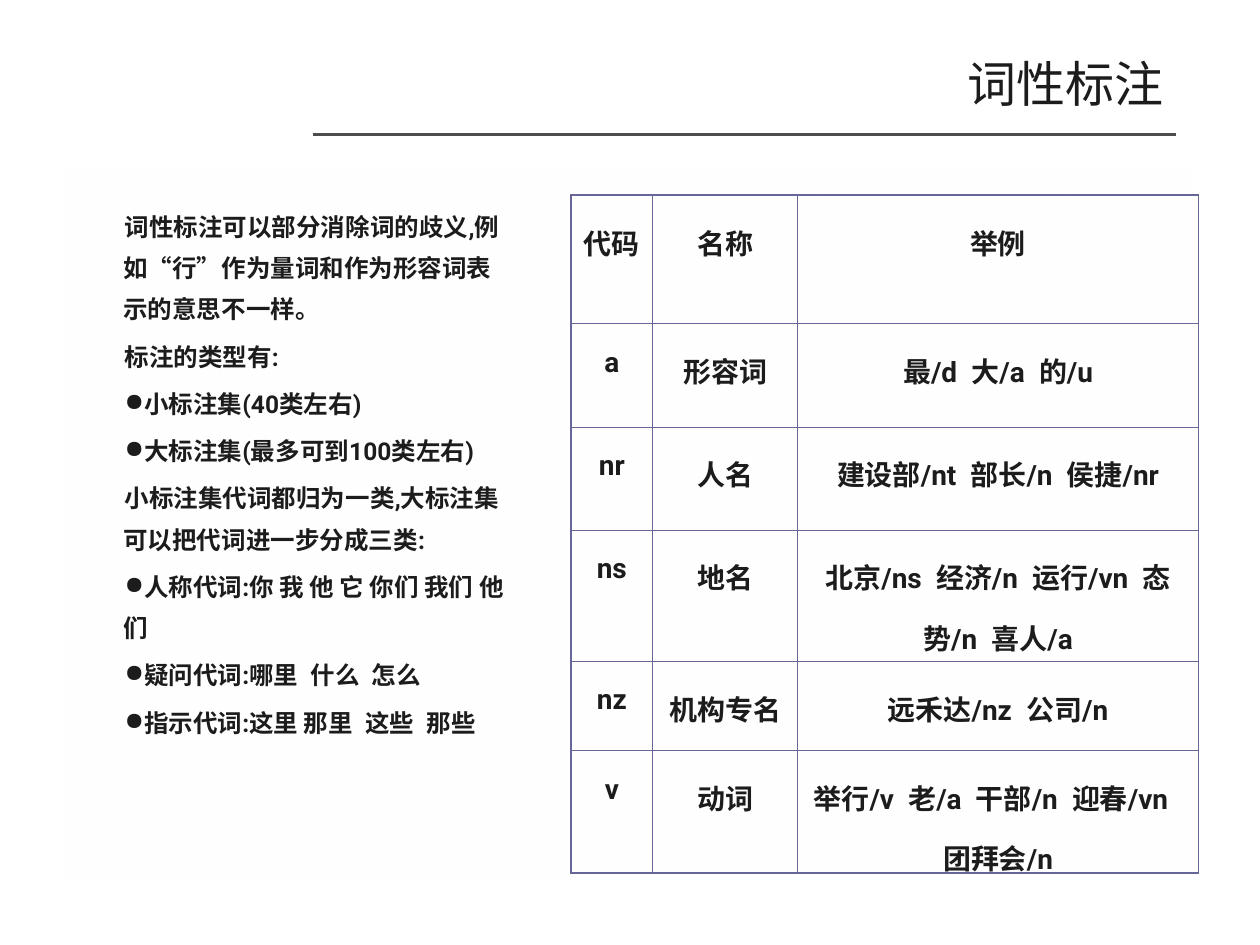
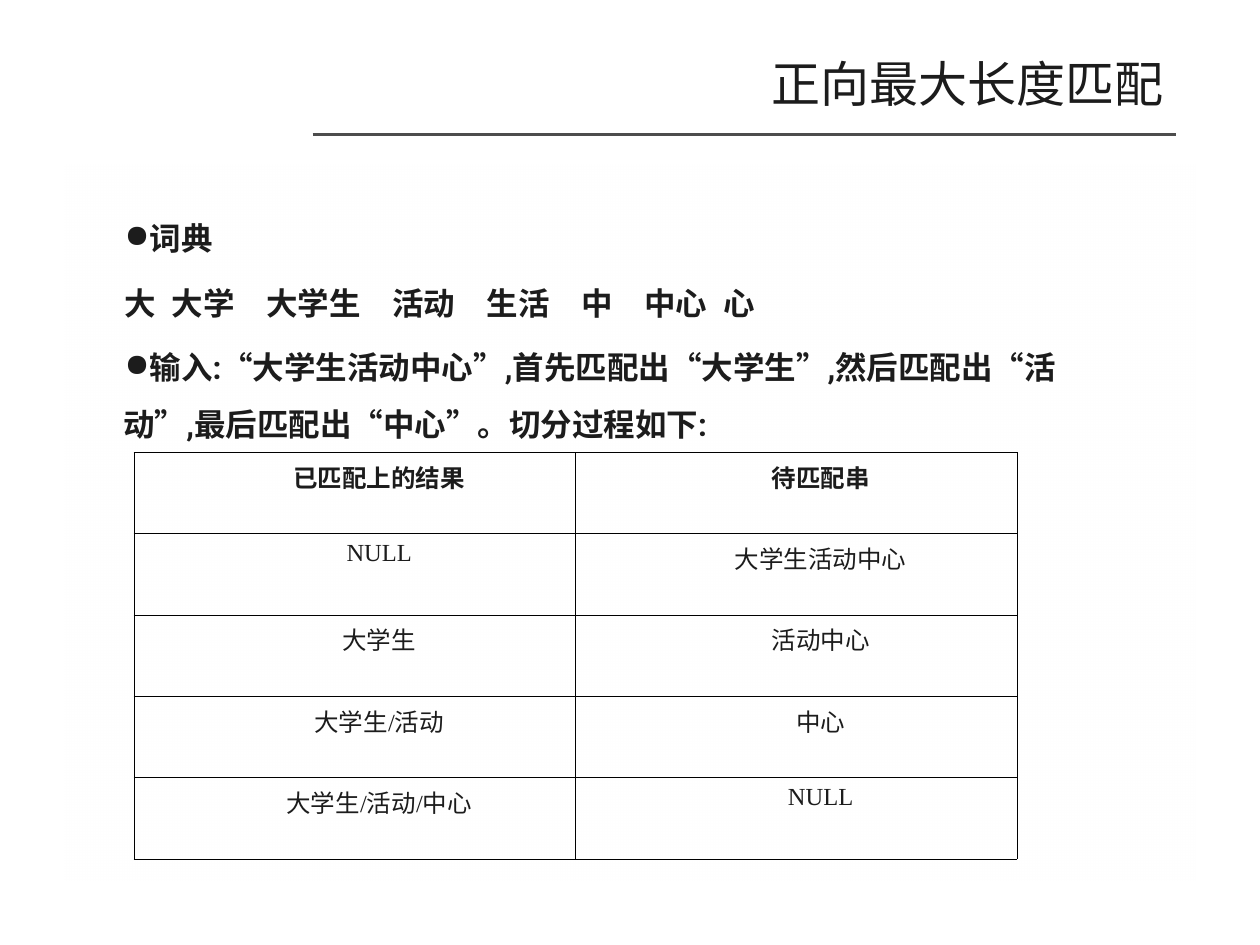
import pptx
import pptx.dml.color
import pptx.enum.shapes
import pptx.enum.text
import pptx.oxml.ns
import pptx.util
from lxml import etree

Pt = pptx.util.Pt
qn = pptx.oxml.ns.qn
ALIGN = pptx.enum.text.PP_ALIGN

INK = "1C1C1C"
RULE = "4D4D4D"
WHITE = "FFFFFF"
BLACK = "000000"
VIOLET = "666699"
SANS = "Roboto"
SERIF = "Times New Roman"
HANGING = (27.4, 0.7)  # left margin and first-line indent


def color(hex_text):
    """Turn a hex string into an RGB colour."""
    return pptx.dml.color.RGBColor.from_string(hex_text)


def add_xml(parent, tag, **attributes):
    """Append a DrawingML element and return it."""
    return etree.SubElement(parent, qn(tag), attributes)


class Deck:
    """Holds the presentation, its shared style and the current slide."""

    def __init__(self):
        """Start an empty 10 by 7.5 inch presentation."""
        self.show = pptx.Presentation()
        self.show.slide_width = Pt(720)
        self.show.slide_height = Pt(540)

    def new_slide(self, title):
        """Add a slide with the shared panel, rule and title."""
        self.slide = self.show.slides.add_slide(self.show.slide_layouts[6])
        self.panel()
        self.rule(178.6, 77, 671.8)
        frame = self.text_frame(49.7, 25.2, 622, 44.6)
        frame.vertical_anchor = pptx.enum.text.MSO_ANCHOR.MIDDLE
        self.paragraph(frame.paragraphs[0], title, 28, align=ALIGN.RIGHT)

    def panel(self):
        """Draw the translucent white panel behind the content."""
        panel = self.slide.shapes.add_shape(
            pptx.enum.shapes.MSO_SHAPE.RECTANGLE,
            Pt(36.7), Pt(94.3), Pt(646.6), Pt(414))
        panel.shadow.inherit = False
        panel.line.fill.background()
        panel.fill.gradient()
        panel.fill.gradient_angle = 270
        for stop in panel.fill.gradient_stops:
            stop.color.rgb = color(WHITE)
        tints = list(panel.element.iter(qn("a:srgbClr")))
        for tint, alpha in zip(tints, ("40000", "0")):
            add_xml(tint, "a:alpha", val=alpha)

    def rule(self, left, top, right):
        """Draw the hairline under the title."""
        rule = self.slide.shapes.add_connector(
            pptx.enum.shapes.MSO_CONNECTOR.STRAIGHT,
            Pt(left), Pt(top), Pt(right), Pt(top))
        rule.line.color.rgb = color(RULE)
        rule.line.width = Pt(0)
        add_xml(rule.element.spPr, "a:effectLst")

    def text_frame(self, left, top, width, height):
        """Add a wrapping text box and return its frame."""
        box = self.slide.shapes.add_textbox(
            Pt(left), Pt(top), Pt(width), Pt(height))
        box.text_frame.word_wrap = True
        return box.text_frame

    def paragraph(self, paragraph, text, size, face=SANS, bold=False,
                  align=None, spacing=None, before=None, indent=None,
                  bullet=False):
        """Fill and format one paragraph."""
        paragraph.text = text
        paragraph.alignment = align
        paragraph.line_spacing = spacing
        if before is not None:
            paragraph.space_before = Pt(before)
        properties = paragraph._p.get_or_add_pPr()
        if indent:
            margin, first_line = indent
            properties.set("marL", str(int(Pt(margin))))
            properties.set("indent", str(int(Pt(first_line))))
        if bullet:
            add_xml(add_xml(properties, "a:buClr"), "a:srgbClr", val=INK)
            add_xml(properties, "a:buChar", char="●")
        font = paragraph.font
        font.size, font.name, font.bold = Pt(size), face, bold
        font.color.rgb = color(INK)

    def body(self, width, lines, size, spacing, before):
        """Add the body text; lines that start with ● become bullets."""
        frame = self.text_frame(36, 110.9, width, 401)
        for index, line in enumerate(lines):
            target = frame.add_paragraph() if index else frame.paragraphs[0]
            self.paragraph(target, line.lstrip("●"), size, bold=True,
                           spacing=spacing, before=before, indent=HANGING,
                           bullet=line.startswith("●"))

    def borders(self, cell, hex_text, widths):
        """Set left, right, top and bottom borders of a cell."""
        properties = cell._tc.get_or_add_tcPr()
        for place, (side, width) in enumerate(zip("LRTB", widths)):
            edge = etree.Element(qn("a:ln" + side), w=str(int(Pt(width))))
            add_xml(add_xml(edge, "a:solidFill"), "a:srgbClr", val=hex_text)
            properties.insert(place, edge)

    def table(self, left, top, columns, heights, rows, border, outer,
              header_bold=True, body_bold=True, **style):
        """Add a bordered table without fills, with centred text."""
        grid = self.slide.shapes.add_table(
            len(heights), len(columns), Pt(left), Pt(top),
            Pt(sum(columns)), Pt(sum(heights))).table
        grid.first_row = grid.horz_banding = False
        for column, width in zip(grid.columns, columns):
            column.width = Pt(width)
        for row, height in zip(grid.rows, heights):
            row.height = Pt(height)
        last_row, last_column = len(heights) - 1, len(columns) - 1
        for r, row in enumerate(rows):
            for c, text in enumerate(row):
                cell = grid.cell(r, c)
                cell.fill.background()
                on_edge = (c == 0, c == last_column, r == 0, r == last_row)
                self.borders(cell, border,
                             [outer if edge else 0.45 for edge in on_edge])
                self.paragraph(cell.text_frame.paragraphs[0], text,
                               bold=body_bold if r else header_bold,
                               align=ALIGN.CENTER, **style)


deck = Deck()

deck.new_slide("词性标注")
deck.body(261.4, [
    "词性标注可以部分消除词的歧义,例如“行”作为量词和作为形容词表示的意思不一样。".replace(",", ","),
    "标注的类型有:".replace(":", ":"),
    "●小标注集(40类左右)",
    "●大标注集(最多可到100类左右)",
    "小标注集代词都归为一类,大标注集可以把代词进一步分成三类:",
    "●人称代词:你 我 他 它 你们 我们 他们",
    "●疑问代词:哪里\u2002什么\u2002怎么",
    "●指示代词:这里 那里\u2002这些\u2002那些",
], size=14, spacing=1.4, before=3.5)
deck.table(
    326.2, 111.6, [46.8, 82.8, 229], [73.4, 59, 59, 74.9, 51.1, 69.8],
    [("代码", "名称", "举例"),
     ("a", "形容词", "最/d\u2002大/a\u2002的/u"),
     ("nr", "人名", "建设部/nt\u2002部长/n\u2002侯捷/nr"),
     ("ns", "地名", "北京/ns\u2002经济/n\u2002运行/vn\u2002态势/n\u2002喜人/a"),
     ("nz", "机构专名", "远禾达/nz\u2002公司/n"),
     ("v", "动词", "举行/v\u2002老/a\u2002干部/n\u2002迎春/vn\u2002团拜会/n")],
    VIOLET, outer=1.08, size=16, spacing=1.5, before=4)

deck.new_slide("正向最大长度匹配")
deck.body(596.2, [
    "●词典",
    "大\u2002大学\u2003大学生\u2003活动\u2003生活\u2003中\u2003中心\u2002心",
    "●输入:“大学生活动中心”,首先匹配出“大学生”,然后匹配出“活动”,"
    "最后匹配出“中心”。切分过程如下:",
], size=18, spacing=1.5, before=4.5)
deck.table(
    76.5, 258.5, [252.3] * 2, [46.5] * 5,
    [("已匹配上的结果", "待匹配串"),
     ("NULL", "大学生活动中心"),
     ("大学生", "活动中心"),
     ("大学生/活动", "中心"),
     ("大学生/活动/中心", "NULL")],
    BLACK, outer=0.45, body_bold=False, size=14, face=SERIF, indent=HANGING)

deck.show.save("out.pptx")
